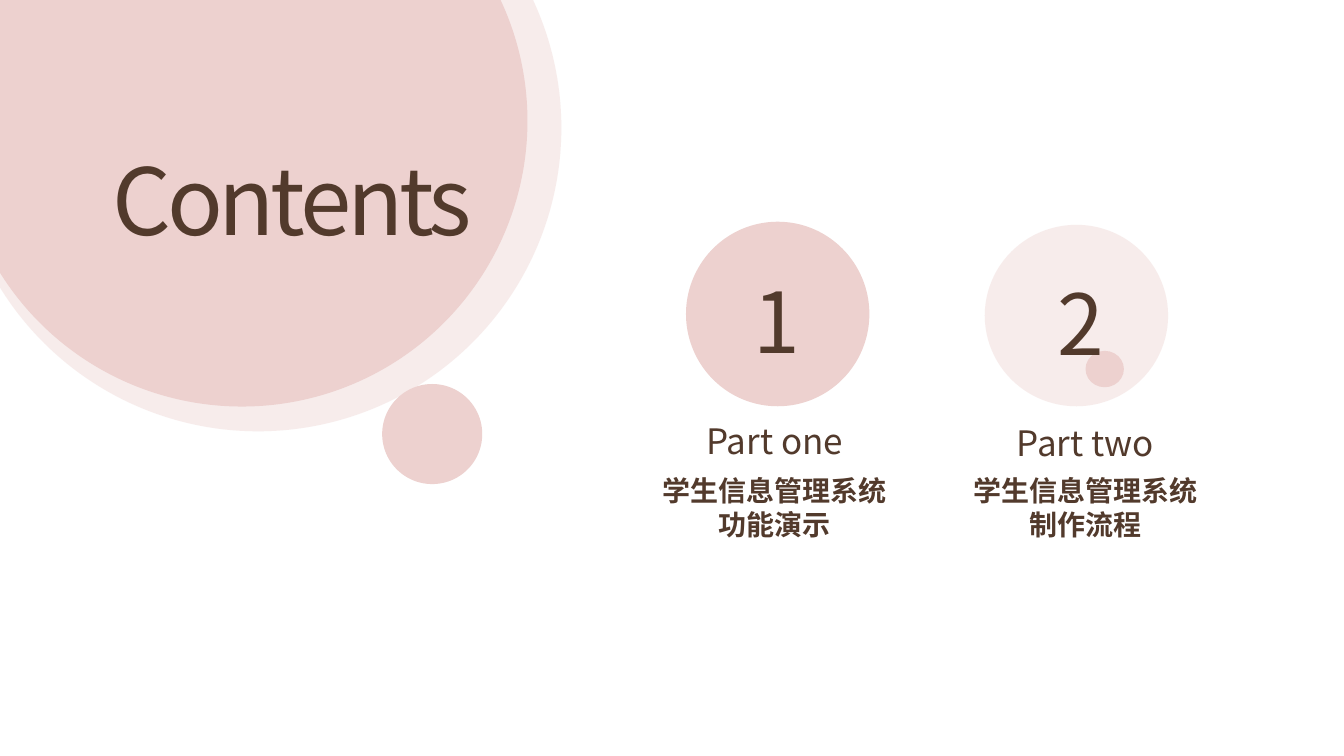
from math import acos, asin, cos, pi, sin, tan

from lxml.etree import SubElement
from pptx import Presentation
from pptx.dml.color import RGBColor
from pptx.enum.shapes import MSO_SHAPE
from pptx.enum.text import MSO_ANCHOR, MSO_AUTO_SIZE, PP_ALIGN
from pptx.oxml.ns import qn
from pptx.util import Pt

FONT = "Noto Sans CJK SC"
ROSE, BLUSH, BROWN = "EDD1CF", "F6E8E7", "523A2C"


def color(hex_text):
    """Turn a hex string into a colour."""
    return RGBColor.from_string(hex_text)


def paint(shape, fill, opacity=100):
    """Give a shape a flat fill with no line or shadow."""
    shape.shadow.inherit = False
    shape.line.fill.background()
    shape.fill.solid()
    shape.fill.fore_color.rgb = color(fill)
    if opacity < 100:
        tint = shape.fill._xPr.find(qn("a:solidFill"))[0]
        SubElement(tint, qn("a:alpha")).set("val", str(opacity * 1000))


def add_circle(slide, box, fill, opacity=100):
    """Draw an ellipse that fills the box."""
    circle = slide.shapes.add_shape(MSO_SHAPE.OVAL, *map(Pt, box))
    paint(circle, fill, opacity)


def curve_rim(disc):
    """Turn every three rim points after the first into one smooth curve."""
    outline = next(disc._element.iter(qn("a:path")))
    handles = outline.findall(qn("a:lnTo"))[1:]
    for first, second, last in zip(handles[::3], handles[1::3], handles[2::3]):
        curve = first.makeelement(qn("a:cubicBezTo"))
        first.addprevious(curve)
        for handle in (first, second, last):
            curve.append(handle[0])
            outline.remove(handle)


def add_corner_disc(slide, cx, cy, radius, fill, opacity=100):
    """Draw a disc cut off by the top and left edges of the slide."""
    start, end, arcs = -asin(cy / radius), pi - acos(cx / radius), 3
    step = (end - start) / arcs
    pull = 4 / 3 * tan(step / 4)

    def rim(angle, lean=0):
        """Find a point on the rim, moved along its tangent by lean."""
        x = cx + radius * (cos(angle) - lean * sin(angle))
        y = cy + radius * (sin(angle) + lean * cos(angle))
        return x * 100, y * 100

    points = [rim(start)]
    for arc in range(arcs):
        angle = start + arc * step
        points += [rim(angle, pull), rim(angle + step, -pull), rim(angle + step)]
    outline = slide.shapes.build_freeform(0, 0, scale=Pt(1) / 100)
    outline.add_line_segments(points, close=True)
    disc = outline.convert_to_shape()
    curve_rim(disc)
    paint(disc, fill, opacity)


def add_text(slide, box, lines, size, bold=False, spacing=0, anchor=MSO_ANCHOR.TOP):
    """Write centred lines in the box."""
    frame = slide.shapes.add_textbox(*map(Pt, box)).text_frame
    grows = anchor == MSO_ANCHOR.TOP
    frame_format = {
        "word_wrap": True,
        "vertical_anchor": anchor,
        "auto_size": MSO_AUTO_SIZE.SHAPE_TO_FIT_TEXT if grows else MSO_AUTO_SIZE.NONE,
    }
    for name, value in frame_format.items():
        setattr(frame, name, value)
    for index, line in enumerate(lines):
        paragraph = frame.add_paragraph() if index else frame.paragraphs[0]
        paragraph.alignment = PP_ALIGN.CENTER
        run = paragraph.add_run()
        run.text = line
        for name, value in {"name": FONT, "size": Pt(size), "bold": bold}.items():
            setattr(run.font, name, value)
        run.font.color.rgb = color(BROWN)
        properties = run.font._element
        SubElement(properties, qn("a:ea")).set("typeface", FONT)
        if spacing:
            properties.set("spc", str(spacing * 100))


def add_heading(slide, box):
    """Draw the corner discs and the heading over them."""
    left, top, width, height = box
    add_corner_disc(slide, 184.3, 91.4, 216.7, BLUSH, 80)
    add_circle(slide, (left + 278, top + 166.3, 71.5, 71.5), ROSE)
    add_corner_disc(slide, 172.8, 86.4, 204, ROSE)
    add_text(slide, box, ["Contents"], 66, spacing=-3, anchor=MSO_ANCHOR.MIDDLE)


def add_part(slide, box, number, caption, title, fill, opacity=100,
             number_shift=0, shift=0, gap=6, title_width=180, dot=None):
    """Draw a numbered circle in the box with its caption and title below."""
    left, top, width, height = box
    bottom, middle = top + height, left + width / 2
    axis = middle + shift
    add_circle(slide, box, fill, opacity)
    if dot:
        dot_x, dot_y, dot_width, dot_height = dot
        add_circle(slide, (left + dot_x, top + dot_y, dot_width, dot_height), ROSE)
    add_text(slide, (middle + number_shift - 29.5, top + 4.3, 59, height), [number], 60,
             anchor=MSO_ANCHOR.MIDDLE)
    add_text(slide, (axis - 82, bottom + gap, 164, 37.5), [caption], 25)
    add_text(slide, (axis - title_width / 2, bottom + 44.6, title_width, 80), title, 20,
             bold=True)


def main():
    """Build the contents slide and save it."""
    deck = Presentation()
    deck.slide_width, deck.slide_height = Pt(960), Pt(540)
    slide = deck.slides.add_slide(deck.slide_layouts[6])
    add_heading(slide, (-5, 108, 427.7, 67))
    system = "学生信息管理系统"
    add_part(slide, (490, 158.4, 131, 131.8), "1", "Part one", [system, "功能演示"],
             ROSE, number_shift=-0.3, shift=-2.1, gap=5.8, title_width=181.4)
    add_part(slide, (703.4, 160.6, 131, 129.6), "2", "Part two", [system, "制作流程"],
             BLUSH, 80, number_shift=2.9, shift=6.3, gap=7.2, title_width=248.4,
             dot=(72, 90, 27.4, 26))
    deck.save("out.pptx")


if __name__ == "__main__":
    main()
